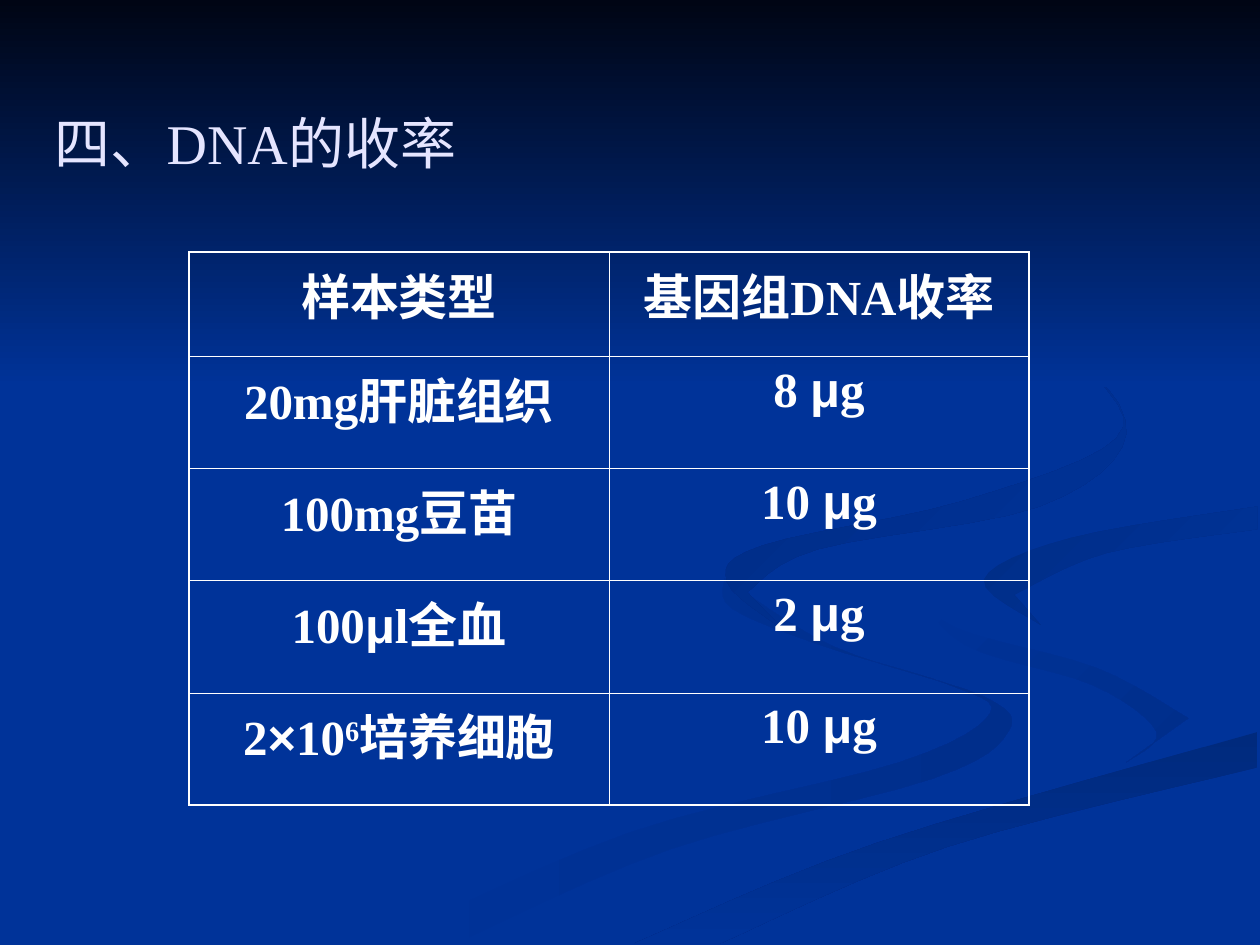
"""Build the slide on genomic DNA yield by sample type."""
import pptx
import pptx.dml.color
import pptx.enum.shapes
import pptx.enum.text
import pptx.oxml
import pptx.oxml.ns
import pptx.util

HEADING = ["四、DNA的收率"]
YIELDS = [
    (["样本类型"], ["基因组DNA收率"]),
    (["20mg肝脏组织"], ["8 ", "μ", "g"]),
    (["100mg豆苗"], ["10 ", "μ", "g"]),
    (["100", "μ", "l全血"], ["2 ", "μ", "g"]),
    (["2", "×", "10", "^6", "培养细胞"], ["10 ", "μ", "g"]),
]
SYMBOLS = "μ×"

THEME = {
    "ground": "003399", "night": "000514", "heading": "E5E5FF", "body": "FFFFFF",
    "border": "FFFFFF", "heading_size": 32, "body_size": 28,
    "font": "Times New Roman", "symbol_font": "Arial",
    "outer_line": 1.08, "inner_line": 0.45,
}

WIDTH, HEIGHT = 10, 7.5
BAND_BOX = (0, 0, WIDTH, HEIGHT * 0.41)
HEADING_BOX = (WIDTH / 30, HEIGHT / 15, WIDTH * 14 / 15, HEIGHT / 6)
TABLE_LEFT, TABLE_TOP = WIDTH * 0.15, HEIGHT * 4 / 15
COLUMN_WIDTH = WIDTH / 3
ROW_HEIGHTS = [0.83] + [0.89] * (len(YIELDS) - 1)
CURVE_STEPS = 6

RIBBONS = [
    {"colors": (THEME["ground"], "002E8B"), "angle": 0, "edges": [
        [(5.75, 4.59), (5.81, 4.83), (6.54, 5.13), (7.52, 5.43), (7.86, 5.66),
         (7.14, 6.05), (4.99, 6.61), (3, 7.49)],
        [(3.61, 7.49), (5.32, 6.74), (7.4, 6.18), (8, 5.81), (7.81, 5.53),
         (6.61, 5.13), (5.75, 4.59)]]},
    {"colors": (THEME["ground"], "002E8B"), "angle": 45, "edges": [
        [(7.24, 4.64), (7.66, 5.12), (8.68, 5.44), (9.18, 5.81), (8.94, 6.05)],
        [(9.43, 5.7), (8.7, 5.3), (7.58, 4.98), (7.24, 4.64)]]},
    {"colors": ("002A7D", THEME["ground"]), "angle": 90, "edges": [
        [(5.03, 7.49), (6.96, 6.69), (9.98, 5.81)],
        [(9.98, 6.09), (7.52, 6.72), (5.71, 7.49)]]},
    {"colors": ("002D86", THEME["ground"]), "angle": 45, "edges": [
        [(9.98, 4.02), (8.5, 4.27), (7.81, 4.6), (8.26, 4.96)],
        [(8.05, 4.72), (8.78, 4.39), (9.98, 4.2)]]},
    {"colors": ("002B82", THEME["ground"]), "angle": 45, "edges": [
        [(7.62, 2.33), (8.62, 2.92), (8.86, 3.48), (7.63, 3.98), (6.05, 4.33),
         (5.77, 4.62), (6.22, 5)],
        [(5.93, 4.7), (6.49, 4.36), (8.25, 4.02), (8.94, 3.44), (8.43, 2.75),
         (7.62, 2.33)]]},
]


def rgb(color):
    return pptx.dml.color.RGBColor.from_string(color)


def write(frame, runs, *, size, color, bold=False, align="LEFT"):
    frame.word_wrap = True
    paragraph = frame.paragraphs[0]
    paragraph.alignment = getattr(pptx.enum.text.PP_ALIGN, align)
    for text in runs:
        run = paragraph.add_run()
        run.text = text.lstrip("^")
        run.font.name = THEME["symbol_font" if text in SYMBOLS else "font"]
        run.font.size = pptx.util.Pt(size)
        run.font.bold = bold
        run.font.color.rgb = rgb(color)
        if text.startswith("^"):
            run._r.get_or_add_rPr().set("baseline", "30000")


def smooth(knots):
    padded = [knots[0], *knots, knots[-1]]
    curve = [knots[0]]
    for before, start, end, after in zip(padded, padded[1:], padded[2:], padded[3:]):
        for step in range(1, CURVE_STEPS + 1):
            t = step / CURVE_STEPS
            curve.append(tuple(
                b + t * ((c - a) + t * ((2 * a - 5 * b + 4 * c - d)
                                        + t * (3 * (b - c) + d - a))) / 2
                for a, b, c, d in zip(before, start, end, after)))
    return curve


def shade(shape, colors, angle):
    shape.shadow.inherit = False
    shape.line.fill.background()
    shape.fill.gradient()
    shape.fill.gradient_angle = -angle % 360
    for stop, color in zip(shape.fill.gradient_stops, colors):
        stop.color.rgb = rgb(color)


def draw_ribbon(slide, colors, angle, edges):
    outline = [tuple(map(pptx.util.Inches, point)) for edge in edges for point in smooth(edge)]
    builder = slide.shapes.build_freeform(*outline[0])
    builder.add_line_segments(outline[1:], close=True)
    shade(builder.convert_to_shape(), colors, angle)


def border(cell, outer_sides):
    for side in "LRTB":
        width = pptx.util.Pt(THEME["outer_line" if side in outer_sides else "inner_line"])
        cell._tc.get_or_add_tcPr().append(pptx.oxml.parse_xml(
            f'<a:ln{side} {pptx.oxml.ns.nsdecls("a")} w="{width}"><a:solidFill>'
            f'<a:srgbClr val="{THEME["border"]}"/></a:solidFill></a:ln{side}>'))


def add_yields(slide):
    rows, columns = len(YIELDS), len(YIELDS[0])
    box = (TABLE_LEFT, TABLE_TOP, COLUMN_WIDTH * columns, sum(ROW_HEIGHTS))
    table = slide.shapes.add_table(rows, columns, *map(pptx.util.Inches, box)).table
    table.first_row = table.horz_banding = False
    for column in table.columns:
        column.width = pptx.util.Inches(COLUMN_WIDTH)
    for r, (entries, height) in enumerate(zip(YIELDS, ROW_HEIGHTS)):
        table.rows[r].height = pptx.util.Inches(height)
        for c, runs in enumerate(entries):
            cell = table.cell(r, c)
            edges = {"L": c == 0, "R": c == columns - 1, "T": r == 0, "B": r == rows - 1}
            border(cell, [side for side, outer in edges.items() if outer])
            cell.fill.background()
            write(cell.text_frame, runs, size=THEME["body_size"], color=THEME["body"],
                  bold=True, align="CENTER")


def main():
    deck = pptx.Presentation()
    deck.slide_width = pptx.util.Inches(WIDTH)
    deck.slide_height = pptx.util.Inches(HEIGHT)
    slide = deck.slides.add_slide(deck.slide_layouts[6])
    slide.background.fill.solid()
    slide.background.fill.fore_color.rgb = rgb(THEME["ground"])
    for ribbon in RIBBONS:
        draw_ribbon(slide, **ribbon)
    band = slide.shapes.add_shape(
        pptx.enum.shapes.MSO_SHAPE.RECTANGLE, *map(pptx.util.Inches, BAND_BOX))
    shade(band, (THEME["night"], THEME["ground"]), 90)
    heading = slide.shapes.add_textbox(*map(pptx.util.Inches, HEADING_BOX)).text_frame
    heading.vertical_anchor = pptx.enum.text.MSO_ANCHOR.MIDDLE
    write(heading, HEADING, size=THEME["heading_size"], color=THEME["heading"])
    add_yields(slide)
    deck.save("out.pptx")


if __name__ == "__main__":
    main()
